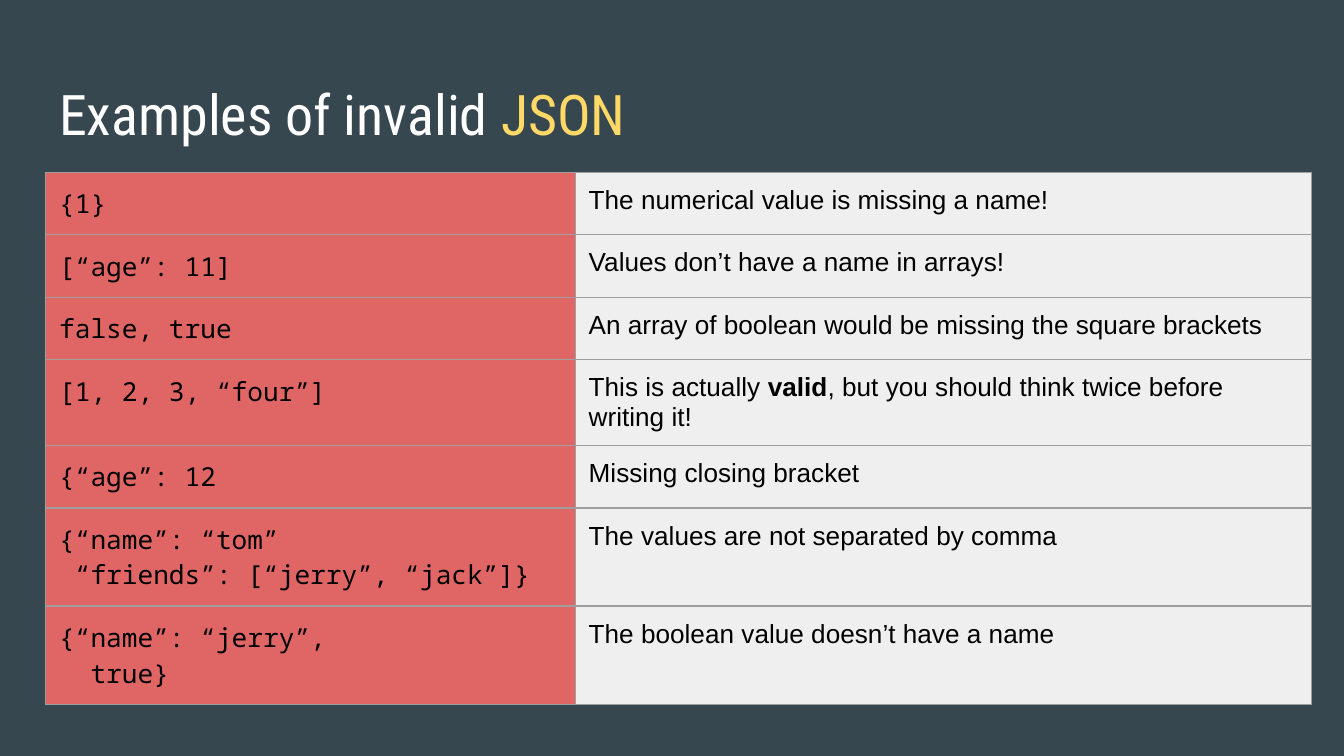
import dataclasses

import lxml.etree
import pptx
import pptx.dml.color
import pptx.enum.text
import pptx.oxml.ns
import pptx.util

Pt = pptx.util.Pt
RGB = pptx.dml.color.RGBColor
qn = pptx.oxml.ns.qn

SLATE = RGB(0x37, 0x47, 0x4F)
WHITE = RGB(0xFF, 0xFF, 0xFF)
GOLD = RGB(0xFF, 0xD9, 0x66)
BLACK = RGB(0, 0, 0)
RED = RGB(0xE0, 0x66, 0x66)
PALE = RGB(0xEF, 0xEF, 0xEF)
GREY = RGB(0x9E, 0x9E, 0x9E)

PAD = Pt(7.2)
LEFT = Pt(24.5)
WIDTHS = (Pt(283.7), Pt(394.6))
ROW = Pt(30.3)


@dataclasses.dataclass(frozen=True)
class Span:
    text: str
    bold: bool = False


@dataclasses.dataclass(frozen=True)
class Case:
    code: tuple[str, ...]
    note: tuple[Span, ...]


CASES = (
    Case(("{1}",), (Span("The numerical value is missing a name!"),)),
    Case(("[“age”: 11]",), (Span("Values don’t have a name in arrays!"),)),
    Case(("false, true",),
         (Span("An array of boolean would be missing the square brackets"),)),
    Case(("[1, 2, 3, “four”]",),
         (Span("This is actually "), Span("valid", True),
          Span(", but you should think twice before writing it!"))),
    Case(("{“age”: 12",), (Span("Missing closing bracket"),)),
    Case(("{“name”: “tom”", " “friends”: [“jerry”, “jack”]}"),
         (Span("The values are not separated by comma"),)),
    Case(("{“name”: “jerry”,", "  true}"),
         (Span("The boolean value doesn’t have a name"),)),
)


def add_run(para, text: str, font: str, size: float, color: RGB,
            bold: bool = False) -> None:
    run = para.add_run()
    run.text = text
    run.font.name = font
    run.font.size = Pt(size)
    run.font.color.rgb = color
    run.font.bold = bold


def pad(box) -> None:
    """Set equal margins on a cell or a text frame."""
    box.margin_left = box.margin_right = PAD
    box.margin_top = box.margin_bottom = PAD


def rule(cell) -> None:
    """Draw a thin grey border on all four sides, ahead of the fill."""
    props = cell._tc.get_or_add_tcPr()
    for spot, side in enumerate(("a:lnL", "a:lnR", "a:lnT", "a:lnB")):
        line = lxml.etree.Element(qn(side), w=str(Pt(0.75)))
        fill = lxml.etree.SubElement(line, qn("a:solidFill"))
        lxml.etree.SubElement(fill, qn("a:srgbClr"), val=str(GREY))
        props.insert(spot, line)


def fill_cell(cell, lines: tuple[tuple[Span, ...], ...], font: str,
              back: RGB) -> None:
    pad(cell)
    cell.fill.solid()
    cell.fill.fore_color.rgb = back
    rule(cell)
    frame = cell.text_frame
    for i, spans in enumerate(lines):
        para = frame.add_paragraph() if i else frame.paragraphs[0]
        for span in spans:
            add_run(para, span.text, font, 14, BLACK, span.bold)


def add_title(slide) -> None:
    title = slide.shapes.title
    title.left, title.top = LEFT, Pt(35.3)
    title.width, title.height = Pt(671), Pt(45.4)
    frame = title.text_frame
    pad(frame)
    frame.word_wrap = True
    frame.auto_size = pptx.enum.text.MSO_AUTO_SIZE.NONE
    frame.vertical_anchor = pptx.enum.text.MSO_ANCHOR.TOP
    para = frame.paragraphs[0]
    para.alignment = pptx.enum.text.PP_ALIGN.LEFT
    para.line_spacing = 1.0
    para.space_before = Pt(0)
    for text, color in (("Examples of invalid ", WHITE), ("JSON", GOLD)):
        add_run(para, text, "Roboto Condensed", 30, color)


def add_cases(slide) -> None:
    frame = slide.shapes.add_table(len(CASES), len(WIDTHS), LEFT, Pt(92.2),
                                   sum(WIDTHS), ROW * len(CASES))
    table = frame.table
    table.first_row = table.horz_banding = False
    for col, width in zip(table.columns, WIDTHS):
        col.width = width
    for i, case in enumerate(CASES):
        table.rows[i].height = ROW
        code = tuple((Span(line),) for line in case.code)
        fill_cell(table.cell(i, 0), code, "Noto Sans Mono", RED)
        fill_cell(table.cell(i, 1), (case.note,), "Arial", PALE)


def main() -> None:
    deck = pptx.Presentation()
    deck.slide_width, deck.slide_height = Pt(720), Pt(405)
    slide = deck.slides.add_slide(deck.slide_layouts[5])
    slide.background.fill.solid()
    slide.background.fill.fore_color.rgb = SLATE
    add_title(slide)
    add_cases(slide)
    deck.save("out.pptx")


if __name__ == "__main__":
    main()
